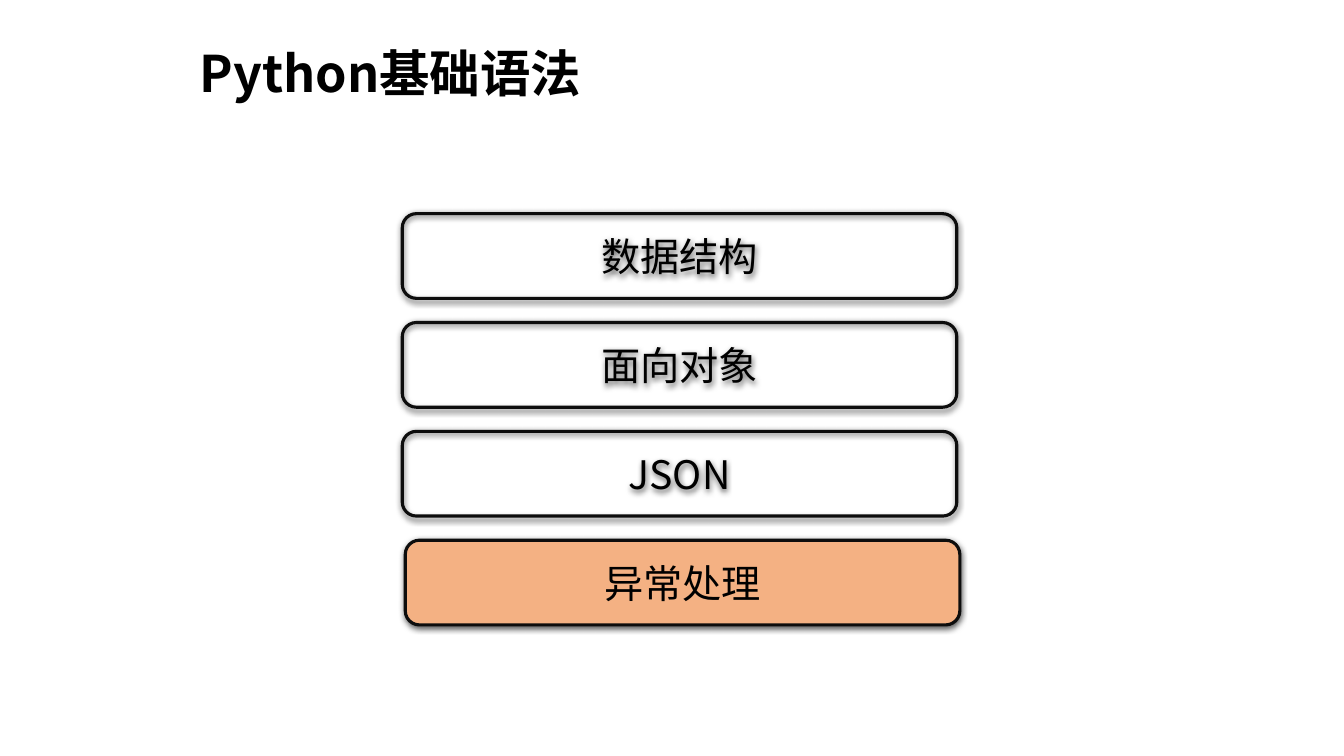
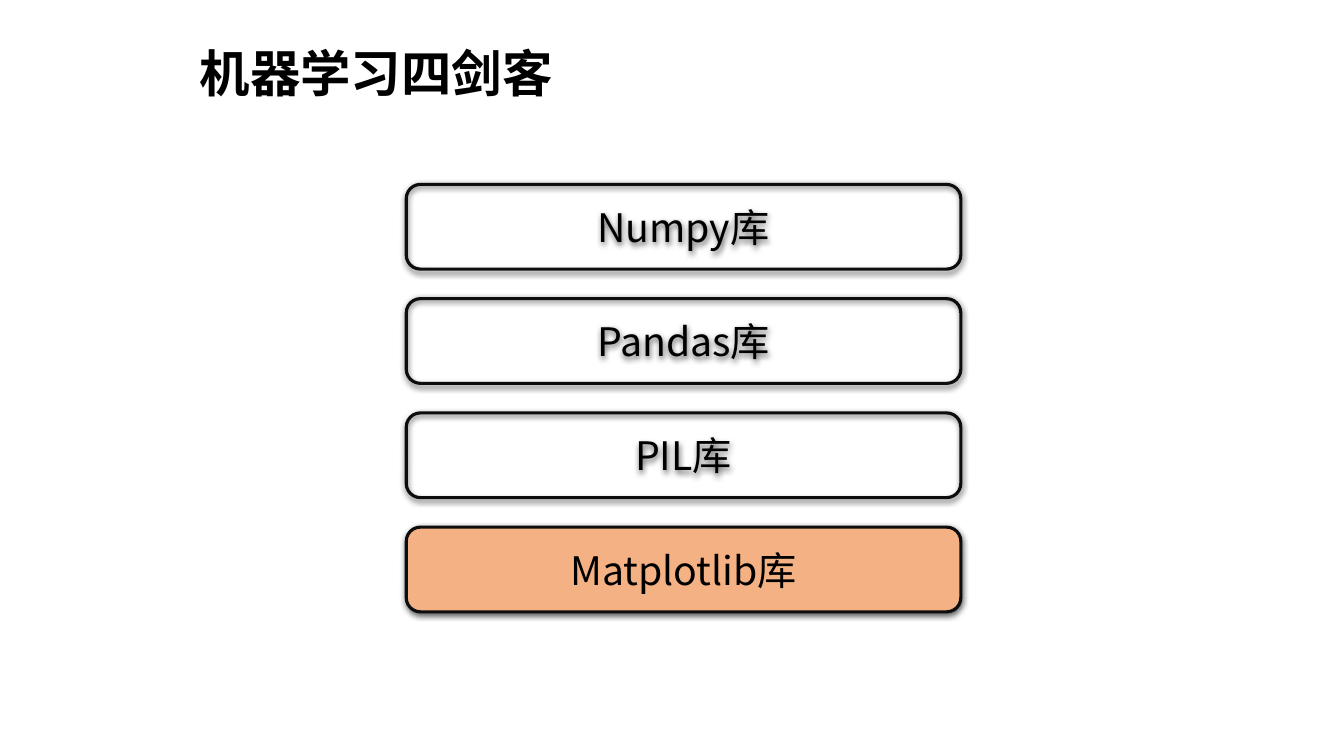
from dataclasses import dataclass
from pptx import Presentation
from pptx.dml.color import RGBColor
from pptx.enum.shapes import MSO_SHAPE
from pptx.enum.text import MSO_ANCHOR, MSO_AUTO_SIZE, PP_ALIGN
from pptx.oxml import parse_xml
from pptx.oxml.ns import nsdecls
from pptx.util import Inches, Pt


@dataclass(frozen=True)
class Theme:
    font: str = "Noto Sans CJK SC"
    ink: RGBColor = RGBColor(0x00, 0x00, 0x00)
    outline: RGBColor = RGBColor(0x0D, 0x0D, 0x0D)
    highlight: RGBColor = RGBColor(0xF4, 0xB1, 0x83)
    title_size: float = 36
    topic_size: float = 28
    outline_width: float = 2.25
    shadow_blur: float = 4.5
    shadow_distance: float = 1.5
    shadow_opacity: int = 63


@dataclass(frozen=True)
class Box:
    left: float
    top: float
    width: float
    height: float

    def place(self):
        return [Inches(v) for v in (self.left, self.top, self.width, self.height)]


THEME = Theme()
SLIDE_WIDTH, SLIDE_HEIGHT = 13.33, 7.5
TITLE_BOX = Box(1.88, 0.37, 4.12, 0.71)
TOPIC_WIDTH, TOPIC_HEIGHT = 5.5, 0.84

AGENDAS = [
    {
        "heading": "Python基础语法",
        "topics": ["数据结构", "面向对象", "JSON", "异常处理"],
        "area": Box(3.99, 2.12, TOPIC_WIDTH, 4.08),
        "highlight_shift": 0.03,
    },
    {
        "heading": "机器学习四剑客",
        "topics": ["Numpy库", "Pandas库", "PIL库", "Matplotlib库"],
        "area": Box(4.03, 1.83, TOPIC_WIDTH, 4.24),
        "highlight_shift": 0,
    },
]


def apply_format(target, values):
    for attribute, value in values.items():
        setattr(target, attribute, value)


def write_text(frame, text, size, bold, align, anchor, auto_size):
    frame.text = text
    apply_format(frame, {"word_wrap": True, "vertical_anchor": anchor, "auto_size": auto_size})
    paragraph = frame.paragraphs[0]
    paragraph.alignment = align
    run = paragraph.runs[0]
    apply_format(run.font, {"name": THEME.font, "size": Pt(size), "bold": bold})
    run.font.color.rgb = THEME.ink
    run.font._element.append(
        parse_xml(f'<a:ea {nsdecls("a")} typeface="{THEME.font}"/>')
    )


def add_shadow(shape):
    shape.shadow.inherit = False
    effects = shape._element.spPr.find(
        "{http://schemas.openxmlformats.org/drawingml/2006/main}effectLst"
    )
    effects.append(parse_xml(
        f'<a:outerShdw {nsdecls("a")} blurRad="{Pt(THEME.shadow_blur)}" '
        f'dist="{Pt(THEME.shadow_distance)}" dir="5400000" algn="ctr" rotWithShape="0">'
        f'<a:srgbClr val="{THEME.ink}"><a:alpha val="{THEME.shadow_opacity * 1000}"/>'
        "</a:srgbClr></a:outerShdw>"
    ))


def add_title(slide, heading, box):
    title = slide.shapes.title
    position = dict(zip(("left", "top", "width", "height"), box.place()))
    apply_format(title, position)
    write_text(title.text_frame, heading, THEME.title_size, True,
               PP_ALIGN.LEFT, MSO_ANCHOR.TOP, MSO_AUTO_SIZE.SHAPE_TO_FIT_TEXT)


def add_topic(slide, topic, box, highlighted):
    card = slide.shapes.add_shape(MSO_SHAPE.ROUNDED_RECTANGLE, *box.place())
    if highlighted:
        card.fill.solid()
        card.fill.fore_color.rgb = THEME.highlight
    else:
        card.fill.background()
    card.line.color.rgb = THEME.outline
    card.line.width = Pt(THEME.outline_width)
    add_shadow(card)
    write_text(card.text_frame, topic, THEME.topic_size, False,
               PP_ALIGN.CENTER, MSO_ANCHOR.MIDDLE, MSO_AUTO_SIZE.NONE)


def add_topic_stack(slide, topics, area, highlight_shift):
    last = len(topics) - 1
    pitch = (area.height - TOPIC_HEIGHT) / last
    for row, topic in enumerate(topics):
        highlighted = row == last
        left = area.left + highlight_shift * highlighted
        box = Box(left, area.top + row * pitch, area.width, TOPIC_HEIGHT)
        add_topic(slide, topic, box, highlighted)


def add_agenda_slide(deck, heading, topics, area, highlight_shift):
    slide = deck.slides.add_slide(deck.slide_layouts.get_by_name("Title Only"))
    add_title(slide, heading, TITLE_BOX)
    add_topic_stack(slide, topics, area, highlight_shift)


def main():
    deck = Presentation()
    deck.slide_width = Inches(SLIDE_WIDTH)
    deck.slide_height = Inches(SLIDE_HEIGHT)
    for agenda in AGENDAS:
        add_agenda_slide(deck, **agenda)
    deck.save("out.pptx")


if __name__ == "__main__":
    main()
